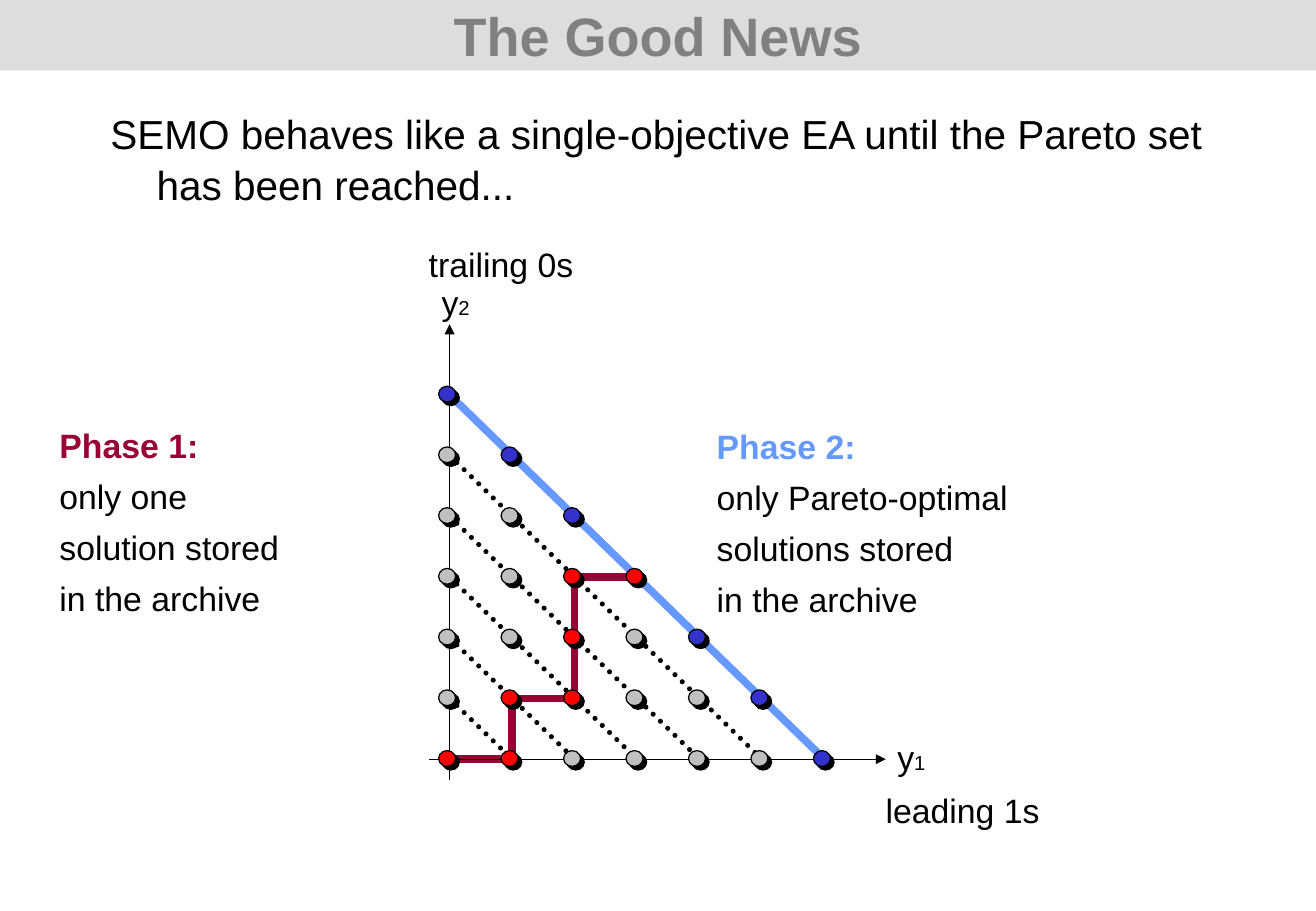
from dataclasses import dataclass

from lxml import etree
from pptx import Presentation
from pptx import util as u
from pptx.dml.color import RGBColor
from pptx.enum import dml, shapes, text
from pptx.oxml import ns


@dataclass(frozen=True)
class Theme:
    font: str = "Arial"
    bar: str = "DDDDDD"
    heading: str = "808080"
    ink: str = "000000"
    phase_1: str = "990033"
    phase_2: str = "6699FF"
    dominated: str = "C0C0C0"
    visited: str = "FF0000"
    pareto: str = "3333CC"
    title_size: int = 32
    body_size: int = 24
    label_size: int = 20
    index_size: int = 12
    thin: float = 0.75
    dotted: float = 3
    thick: float = 4.5


THEME = Theme()
STEPS = 6
PITCH_X, PITCH_Y = 0.514, 0.5
DOT_WIDTH, DOT_HEIGHT = 0.14, 0.13
VISITED = [(0, 0), (1, 0), (1, 1), (2, 1), (2, 2), (2, 3), (3, 3)]


def color(value):
    return RGBColor.from_string(value)


def add_text(slide, box, paragraphs, wrap=False, anchor=text.MSO_ANCHOR.TOP, hanging=0, **formats):
    """Each paragraph is a list of (text, font values); formats apply to every paragraph."""
    shape = slide.shapes.add_textbox(*map(u.Inches, box))
    frame = shape.text_frame
    frame.word_wrap, frame.vertical_anchor = wrap, anchor
    for index, runs in enumerate(paragraphs):
        paragraph = frame.paragraphs[0] if index == 0 else frame.add_paragraph()
        if index:
            paragraph.space_before = u.Pt(5)
        if hanging:
            properties = paragraph._p.get_or_add_pPr()
            properties.set("marL", str(u.Inches(hanging)))
            properties.set("indent", str(-u.Inches(hanging)))
        for name, value in formats.items():
            setattr(paragraph, name, value)
        for words, values in runs:
            run = paragraph.add_run()
            run.text = words
            font_values = {"name": THEME.font, "size": THEME.label_size, "color": THEME.ink, **values}
            run.font.color.rgb = color(font_values.pop("color"))
            font_values["size"] = u.Pt(font_values["size"])
            for name, value in font_values.items():
                setattr(run.font, name, value)


def add_line(slide, start, end, line_color, width, dotted=False, arrow=False):
    connector = slide.shapes.add_connector(
        shapes.MSO_CONNECTOR.STRAIGHT, *map(u.Inches, (*start, *end)))
    line = connector.line
    line.color.rgb, line.width = color(line_color), u.Pt(width)
    properties = connector._element.spPr
    outline = properties.find(ns.qn("a:ln"))
    if dotted:
        line.dash_style = dml.MSO_LINE.ROUND_DOT
        outline.set("cap", "rnd")
    if arrow:
        etree.SubElement(outline, ns.qn("a:tailEnd"), type="triangle")
    etree.SubElement(properties, ns.qn("a:effectLst"))


def add_filled(slide, kind, box, fill, outline=None):
    shape = slide.shapes.add_shape(kind, *map(u.Inches, box))
    shape.shadow.inherit = False
    shape.fill.solid()
    shape.fill.fore_color.rgb = color(fill)
    if outline:
        shape.line.color.rgb, shape.line.width = color(outline), u.Pt(THEME.thin)
    else:
        shape.line.fill.background()


def add_title(slide, box, words):
    add_filled(slide, shapes.MSO_SHAPE.RECTANGLE, box, THEME.bar)
    values = {"size": THEME.title_size, "bold": True, "color": THEME.heading}
    add_text(slide, box, [[(words, values)]], wrap=True, anchor=text.MSO_ANCHOR.MIDDLE,
             alignment=text.PP_ALIGN.CENTER)


def add_statement(slide, box, words):
    add_text(slide, box, [[(words, {"size": THEME.body_size})]], wrap=True, hanging=0.38,
             line_spacing=1.05)


def add_phase(slide, box, heading, heading_color, lines):
    paragraphs = [[(heading, {"bold": True, "color": heading_color})]]
    paragraphs += [[(line, {})] for line in lines]
    add_text(slide, box, paragraphs, hanging=0.38, line_spacing=1.05)


def add_search_path(slide, grid_point):
    corners = [tuple(map(u.Inches, grid_point(*node))) for node in VISITED]
    builder = slide.shapes.build_freeform(*corners[0])
    builder.add_line_segments(corners[1:], close=False)
    route = builder.convert_to_shape()
    route.shadow.inherit = False
    route.fill.background()
    route.line.color.rgb, route.line.width = color(THEME.phase_1), u.Pt(THEME.thick)


def add_dot(slide, center, fill):
    """Draws a dot up and left of a black one of the same size."""
    left, top = center[0] - 0.06, center[1] - 0.04
    for offset, dot_fill in ((0, THEME.ink), (-0.03, fill)):
        add_filled(slide, shapes.MSO_SHAPE.OVAL,
                   (left + offset, top + offset, DOT_WIDTH, DOT_HEIGHT), dot_fill, THEME.ink)


def add_objective_space(slide, left, bottom):
    """Places the triangular grid and its axes around the origin (left, bottom)."""
    def grid_point(column, row):
        return left + column * PITCH_X, bottom - row * PITCH_Y

    add_search_path(slide, grid_point)
    add_line(slide, grid_point(0, STEPS), grid_point(STEPS, 0), THEME.phase_2, THEME.thick)
    for level in range(1, STEPS):
        add_line(slide, grid_point(0, level), grid_point(level, 0), THEME.ink, THEME.dotted, dotted=True)

    axes = [((left, bottom + 0.17), (left, bottom - 3.58)),
            ((left - 0.17, bottom), (left + 3.59, bottom))]
    for start, end in axes:
        add_line(slide, start, end, THEME.ink, THEME.thin, arrow=True)
    for index, x, y in (("2", -0.17, -3.98), ("1", 3.58, -0.23)):
        add_text(slide, (left + x, bottom + y, 0.44, 0.44),
                 [[("y", {}), (index, {"size": THEME.index_size})]],
                 alignment=text.PP_ALIGN.CENTER)

    for row in range(STEPS + 1):
        for column in range(STEPS + 1 - row):
            fill = THEME.pareto if column + row == STEPS else THEME.dominated
            if (column, row) in VISITED:
                fill = THEME.visited
            add_dot(slide, grid_point(column, row), fill)

    for words, x, y, width in (("trailing 0s", -0.27, -4.31, 1.49), ("leading 1s", 3.49, 0.19, 1.53)):
        add_text(slide, (left + x, bottom + y, width, 0.44), [[(words, {})]], line_spacing=1.05)


def main():
    presentation = Presentation()
    presentation.slide_width, presentation.slide_height = u.Inches(10.83), u.Inches(7.5)
    slide = presentation.slides.add_slide(presentation.slide_layouts[6])
    add_title(slide, (0, 0, 10.83, 0.58), "The Good News")
    add_statement(slide, (0.81, 0.83, 9.69, 6.08),
                  "SEMO behaves like a single-objective EA until the Pareto set has been reached...")
    add_objective_space(slide, 3.7, 6.25)
    add_phase(slide, (0.39, 3.43, 2.92, 1.64), "Phase 1:", THEME.phase_1,
              ["only one", "solution stored", "in the archive"])
    add_phase(slide, (5.8, 3.44, 3.53, 1.64), "Phase 2:", THEME.phase_2,
              ["only Pareto-optimal", "solutions stored", "in the archive"])
    presentation.save("out.pptx")


if __name__ == "__main__":
    main()
